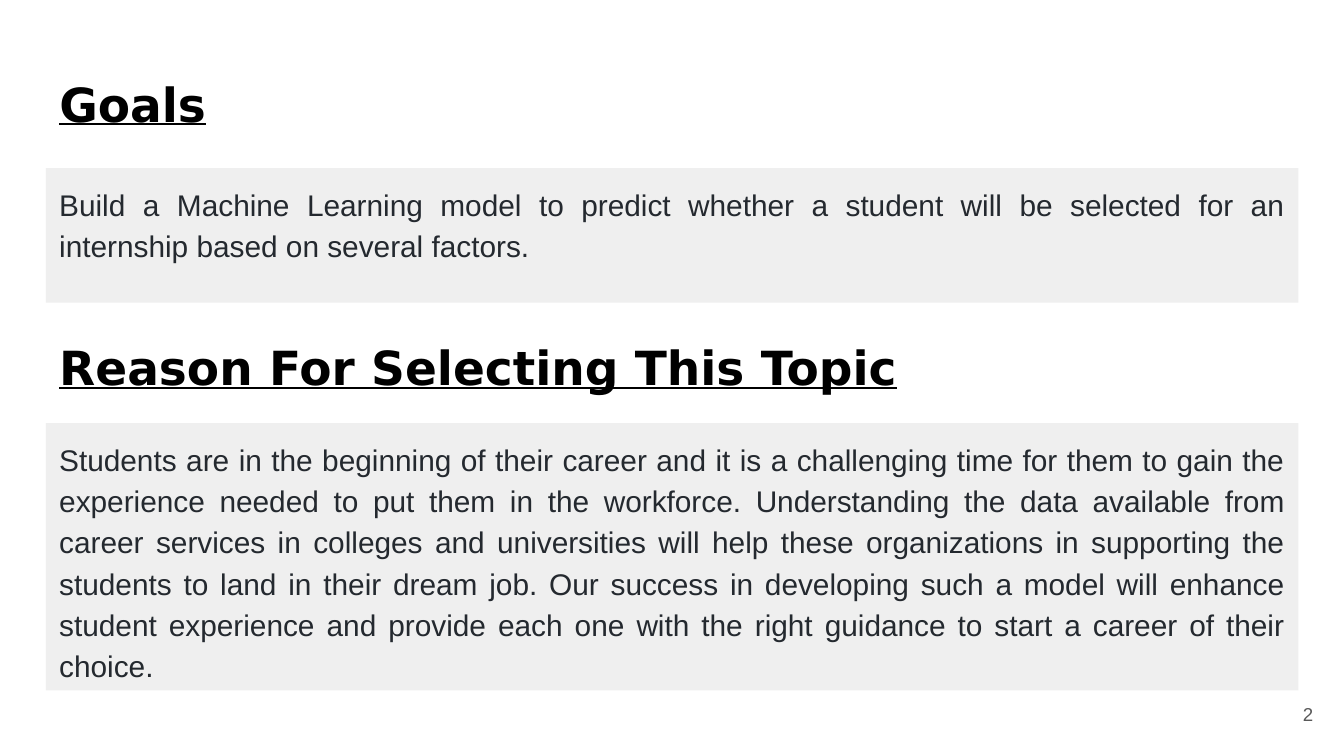
import pptx
import pptx.dml.color
import pptx.enum.shapes
import pptx.enum.text
import pptx.util

Cm = pptx.util.Cm
Pt = pptx.util.Pt
ALIGN = pptx.enum.text.PP_ALIGN
ANCHOR = pptx.enum.text.MSO_ANCHOR

COLORS = {
    "heading": "000000",
    "body": "24292F",
    "panel": "EFEFEF",
    "number": "595959",
}
LEFT, WIDTH = Cm(0.87), Cm(23.67)
HEADING_HEIGHT = Cm(1.6)
INSET = Cm(0.25)

GOAL = ("Build a Machine Learning model to predict whether a student will be "
        "selected for an internship based on several factors.")
REASON = ("Students are in the beginning of their career and it is a challenging "
          "time for them to gain the experience needed to put them in the "
          "workforce. Understanding the data available from career services in "
          "colleges and universities will help these organizations in supporting "
          "the students to land in their dream job. Our success in developing "
          "such a model will enhance student experience and provide each one "
          "with the right guidance to start a career of their choice.")


def rgb(name):
    return pptx.dml.color.RGBColor.from_string(COLORS[name])


def write(sp, text, size, color, font="Arial", align=ALIGN.LEFT, anchor=ANCHOR.TOP):
    """Put one formatted paragraph in a shape; return the paragraph and its run."""
    tf = sp.text_frame
    tf.word_wrap = True
    tf.auto_size = pptx.enum.text.MSO_AUTO_SIZE.NONE
    tf.vertical_anchor = anchor
    tf.margin_left = tf.margin_top = tf.margin_right = tf.margin_bottom = INSET
    p = tf.paragraphs[0]
    p.alignment = align
    r = p.add_run()
    r.text = text
    r.font.name = font
    r.font.size = Pt(size)
    r.font.color.rgb = rgb(color)
    return p, r


def format_heading(sp, top, text):
    sp.left, sp.top, sp.width, sp.height = LEFT, top, WIDTH, HEADING_HEIGHT
    p, r = write(sp, text, 25.2, "heading", font="DejaVu Sans")
    r.font.bold = True
    r.font.underline = True


def add_panel(s, top, height, text):
    sp = s.shapes.add_shape(pptx.enum.shapes.MSO_SHAPE.RECTANGLE,
                            LEFT, top, WIDTH, height)
    sp.shadow.inherit = False
    sp.fill.solid()
    sp.fill.fore_color.rgb = rgb("panel")
    sp.line.fill.background()
    p, r = write(sp, text, 16, "body", align=ALIGN.JUSTIFY)
    p.line_spacing = 1.15
    p.space_after = Pt(12)


def add_page_number(s, number):
    sp = s.shapes.add_textbox(Cm(23.55), Cm(12.95), Cm(1.52), Cm(1.09))
    write(sp, number, 10, "number", align=ALIGN.RIGHT, anchor=ANCHOR.MIDDLE)


def main():
    prs = pptx.Presentation()
    prs.slide_width, prs.slide_height = Cm(25.4), Cm(14.29)
    s = prs.slides.add_slide(prs.slide_layouts[5])

    format_heading(s.shapes.title, Cm(1.17), "Goals")
    add_panel(s, Cm(3.18), Cm(2.54), GOAL)

    reason_heading = s.shapes.add_textbox(LEFT, 0, WIDTH, HEADING_HEIGHT)
    format_heading(reason_heading, Cm(6.15), "Reason For Selecting This Topic")
    add_panel(s, Cm(8), Cm(5.05), REASON)

    add_page_number(s, "2")
    prs.save("out.pptx")


if __name__ == "__main__":
    main()
